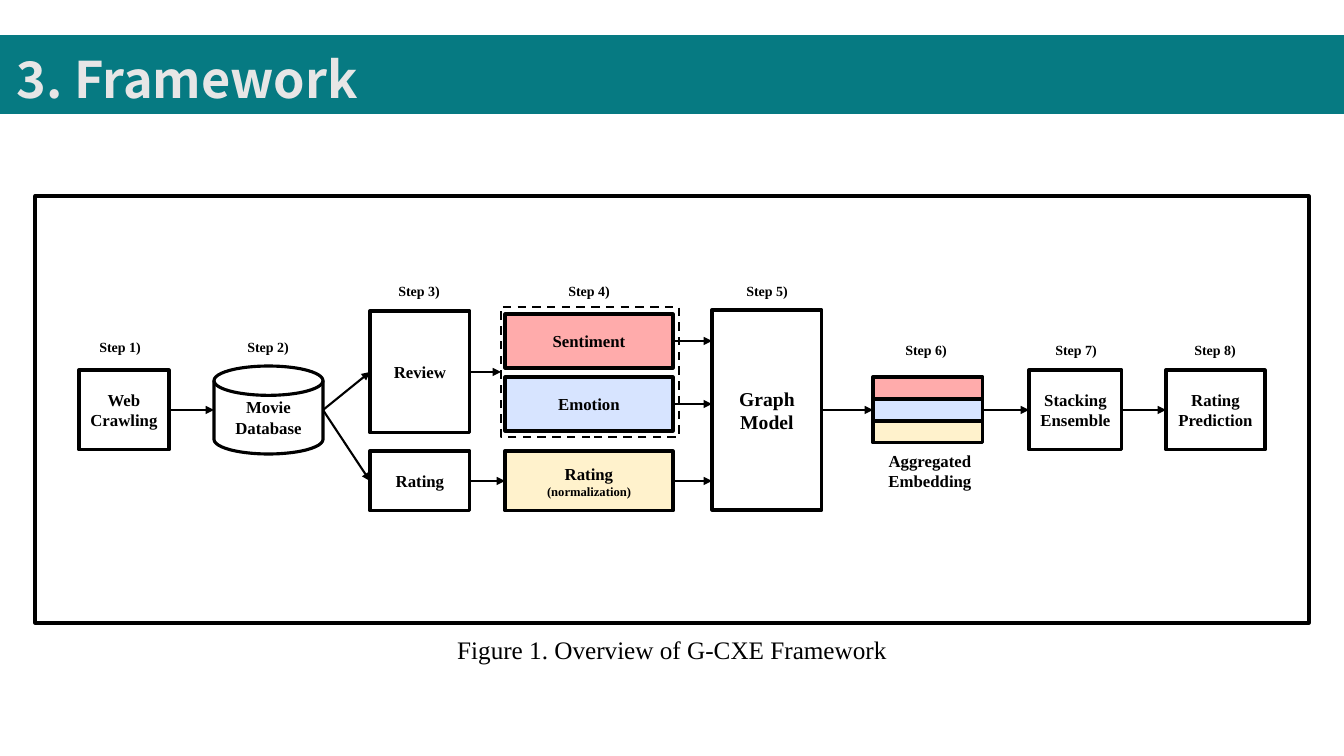
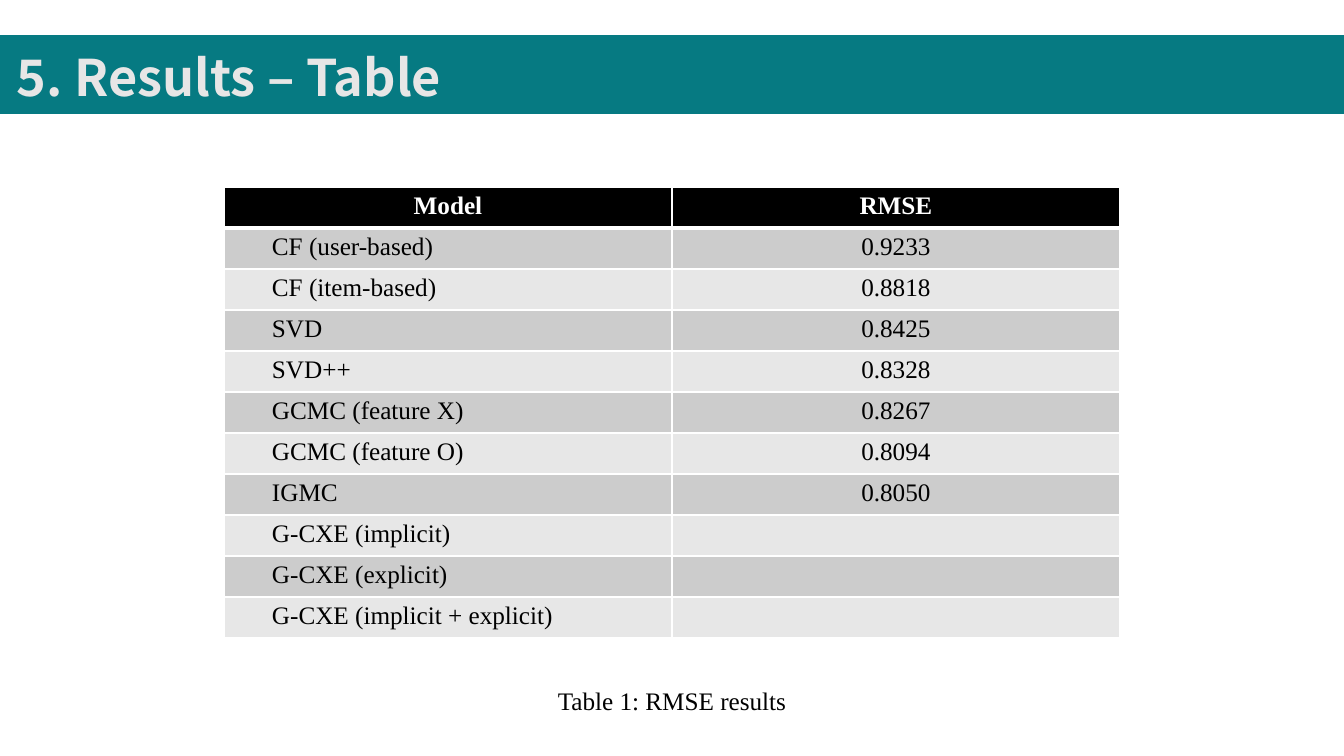
from lxml import etree
from pptx import Presentation
from pptx import util as u
from pptx.dml.color import RGBColor
from pptx.enum import dml, shapes, text
from pptx.oxml import ns

PX = 12192000 / 1344
SLIDE_W, SLIDE_H = 1344, 756

BLACK = RGBColor(0x00, 0x00, 0x00)
WHITE = RGBColor(0xFF, 0xFF, 0xFF)
TEAL = RGBColor(0x06, 0x7A, 0x82)
TITLE_GREY = RGBColor(0xE7, 0xE6, 0xE6)
PINK = RGBColor(0xFF, 0xAB, 0xAB)
BLUE = RGBColor(0xD7, 0xE4, 0xFF)
CREAM = RGBColor(0xFF, 0xF2, 0xCC)
ROW_DARK = RGBColor(0xCC, 0xCC, 0xCC)
ROW_LIGHT = RGBColor(0xE7, 0xE7, 0xE7)

SERIF = "Times New Roman"
TITLE_FONT = "Noto Sans CJK KR"

TOP, LEFT, BOTTOM, RIGHT = range(4)

# Centre x and top y of each step label
STEP_LABELS = [(120, 334), (268, 334), (419, 278), (589, 278),
               (767, 278), (926, 337), (1076, 337), (1215, 337)]

RESULTS = [
    ("Model", "RMSE"),
    ("CF (user-based)", "0.9233"),
    ("CF (item-based)", "0.8818"),
    ("SVD", "0.8425"),
    ("SVD++", "0.8328"),
    ("GCMC (feature X)", "0.8267"),
    ("GCMC (feature O)", "0.8094"),
    ("IGMC", "0.8050"),
    ("G-CXE (implicit)", ""),
    ("G-CXE (explicit)", ""),
    ("G-CXE (implicit + explicit)", ""),
]


def px(*lengths):
    return [u.Emu(round(length * PX)) for length in lengths]


def style_font(font, size, color=BLACK, bold=False, name=SERIF):
    font.name = name
    font.size = u.Pt(size)
    font.bold = bold
    font.color.rgb = color


def write_centred(frame, lines, sizes, bold):
    """Write one centred paragraph per line; the last size serves the rest."""
    frame.word_wrap = True
    frame.text = "\n".join(lines)
    for i, paragraph in enumerate(frame.paragraphs):
        paragraph.alignment = text.PP_ALIGN.CENTER
        style_font(paragraph.font, sizes[min(i, len(sizes) - 1)], bold=bold)


def add_label(slide, area, lines, size, bold=False):
    label = slide.shapes.add_textbox(*px(*area))
    write_centred(label.text_frame, lines, [size], bold)
    label.text_frame.auto_size = text.MSO_AUTO_SIZE.SHAPE_TO_FIT_TEXT


def add_box(parent, area, lines=(), sizes=(12,), fill=None, weight=2.25,
            kind=shapes.MSO_SHAPE.RECTANGLE):
    """Add an outlined shape to a slide or group, optionally with text."""
    box = parent.shapes.add_shape(kind, *px(*area))
    box.shadow.inherit = False
    if fill is None:
        box.fill.background()
    else:
        box.fill.solid()
        box.fill.fore_color.rgb = fill
    box.line.color.rgb = BLACK
    box.line.width = u.Pt(weight)
    if lines:
        box.text_frame.vertical_anchor = text.MSO_ANCHOR.MIDDLE
        write_centred(box.text_frame, lines, sizes, bold=True)
    return box


def add_arrow(slide, start, end, source=None, target=None):
    """Draw an arrow, joined to the source's right and the target's left."""
    arrow = slide.shapes.add_connector(
        shapes.MSO_CONNECTOR.STRAIGHT, *px(*start, *end))
    if source is not None:
        arrow.begin_connect(source, RIGHT)
    if target is not None:
        arrow.end_connect(target, LEFT)
    arrow.line.color.rgb = BLACK
    arrow.line.width = u.Pt(1.5)
    etree.SubElement(arrow.line._get_or_add_ln(), ns.qn("a:tailEnd"),
                     type="triangle")
    etree.SubElement(arrow._element.spPr, ns.qn("a:effectLst"))


def add_titled_slide(deck, title, title_top):
    slide = deck.slides.add_slide(deck.slide_layouts[6])
    band = slide.shapes.add_shape(shapes.MSO_SHAPE.RECTANGLE,
                                  *px(0, 35, SLIDE_W, 79))
    band.shadow.inherit = False
    band.fill.solid()
    band.fill.fore_color.rgb = TEAL
    band.line.fill.background()

    heading = slide.shapes.add_textbox(*px(7, title_top, SLIDE_W - 7, 93))
    frame = heading.text_frame
    frame.word_wrap = True
    frame.auto_size = text.MSO_AUTO_SIZE.SHAPE_TO_FIT_TEXT
    frame.vertical_anchor = text.MSO_ANCHOR.MIDDLE
    frame.text = title
    frame.paragraphs[0].line_spacing = 1.5
    style_font(frame.paragraphs[0].font, 36, TITLE_GREY, True, TITLE_FONT)
    return slide


def add_caption(slide, top, caption):
    width = 520
    add_label(slide, ((SLIDE_W - width) // 2, top, width, 40), [caption], 18)


def set_cell_borders(cell, top, bottom):
    """Give a cell white borders; top and bottom widths are in points."""
    properties = cell._tc.get_or_add_tcPr()
    for side, width in (("L", 1), ("R", 1), ("T", top), ("B", bottom)):
        border = etree.SubElement(properties, ns.qn(f"a:ln{side}"),
                                  w=str(u.Pt(width)))
        fill = etree.SubElement(border, ns.qn("a:solidFill"))
        etree.SubElement(fill, ns.qn("a:srgbClr"), val=str(WHITE))


def add_results_table(slide, rows, left, top, column_width, row_height):
    columns = len(rows[0])
    table = slide.shapes.add_table(
        len(rows), columns, *px(left, top, column_width * columns,
                                row_height * len(rows))).table
    for r, row in enumerate(rows):
        header = r == 0
        for c, value in enumerate(row):
            cell = table.cell(r, c)
            set_cell_borders(cell, top=3 if r == 1 else 1,
                             bottom=3 if header else 1)
            cell.fill.solid()
            cell.fill.fore_color.rgb = (
                BLACK if header else ROW_DARK if r % 2 else ROW_LIGHT)
            cell.text = value
            paragraph = cell.text_frame.paragraphs[0]
            if header or c > 0:
                paragraph.alignment = text.PP_ALIGN.CENTER
            else:
                cell.margin_left = px(48)[0]
            style_font(paragraph.font, 18, WHITE if header else BLACK, header)


def add_embedding(slide, left, top, width, bar_height):
    """Stack the three feature bars in a group and return the middle one."""
    stack = slide.shapes.add_group_shape()
    bars = [add_box(stack, (left, top + i * bar_height, width, bar_height),
                    fill=color)
            for i, color in enumerate((PINK, BLUE, CREAM))]
    return bars[1]


def build_framework(deck):
    slide = add_titled_slide(deck, "3. Framework", 17)
    add_box(slide, (35, 196, 1274, 427))

    crawling = add_box(slide, (79, 370, 90, 80), ["Web", "Crawling"])
    add_box(slide, (214, 366, 109, 88), ["Movie", "Database"],
            kind=shapes.MSO_SHAPE.FLOWCHART_MAGNETIC_DISK)
    review = add_box(slide, (370, 311, 100, 122), ["Review"])
    rating = add_box(slide, (370, 451, 100, 60), ["Rating"])
    features = add_box(slide, (501, 307, 178, 130), weight=1.5)
    features.line.dash_style = dml.MSO_LINE.DASH
    sentiment = add_box(slide, (505, 314, 168, 54), ["Sentiment"], fill=PINK)
    emotion = add_box(slide, (505, 377, 168, 54), ["Emotion"], fill=BLUE)
    normalized = add_box(slide, (505, 451, 168, 60),
                         ["Rating", "(normalization)"], (12, 9), CREAM)
    graph = add_box(slide, (712, 310, 110, 200), ["Graph", "Model"], (14,),
                    WHITE)
    embedding = add_embedding(slide, 873, 377, 110, 22)
    stacking = add_box(slide, (1029, 370, 93, 80), ["Stacking", "Ensemble"])
    prediction = add_box(slide, (1166, 370, 99, 80), ["Rating", "Prediction"])

    flow_y = 410
    database_left, database_right = (214, flow_y), (323, flow_y)
    add_arrow(slide, (169, flow_y), database_left, source=crawling)
    for target in (review, rating):
        add_arrow(slide, database_right, database_right, target=target)
    for feature, y in ((sentiment, 341), (emotion, 404), (normalized, 481)):
        add_arrow(slide, (673, y), (712, y), source=feature)
    for source, target in ((review, features), (rating, normalized),
                           (graph, embedding), (embedding, stacking),
                           (stacking, prediction)):
        add_arrow(slide, (0, 0), (0, 0), source, target)

    for number, (centre, top) in enumerate(STEP_LABELS, start=1):
        add_label(slide, (centre - 34, top, 68, 27), [f"Step {number})"], 10,
                  bold=True)
    add_label(slide, (866, 446, 128, 50), ["Aggregated", "Embedding"], 12,
              bold=True)
    add_caption(slide, 629, "Figure 1. Overview of G-CXE Framework")


def build_results(deck):
    slide = add_titled_slide(deck, "5. Results – Table", 15)
    add_results_table(slide, RESULTS, left=224, top=187, column_width=448,
                      row_height=41)
    add_caption(slide, 680, "Table 1: RMSE results")


def main():
    deck = Presentation()
    deck.slide_width, deck.slide_height = px(SLIDE_W, SLIDE_H)
    build_framework(deck)
    build_results(deck)
    deck.save("out.pptx")


if __name__ == "__main__":
    main()
